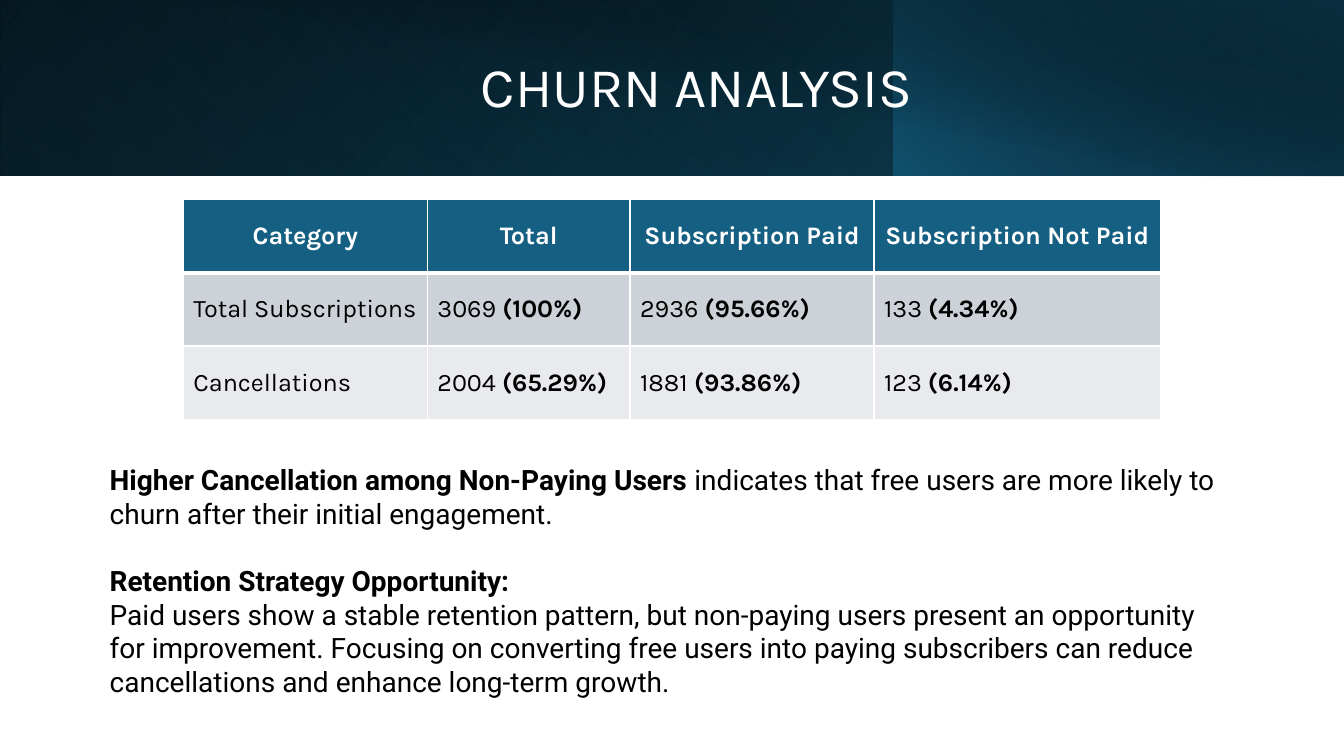
"""Build the churn analysis slide: gradient header, table and findings."""
from lxml.etree import SubElement
from pptx import Presentation
from pptx.dml.color import RGBColor
from pptx.enum.shapes import MSO_SHAPE
from pptx.enum.text import MSO_ANCHOR, MSO_AUTO_SIZE, PP_ALIGN
from pptx.oxml import parse_xml
from pptx.oxml.ns import nsdecls, qn
from pptx.util import Pt

TITLE = "CHURN ANALYSIS"
ROWS = [
    [("Category", ""), ("Total", ""), ("Subscription Paid", ""), ("Subscription Not Paid", "")],
    [("Total Subscriptions", ""), ("3069 ", "(100%)"), ("2936 ", "(95.66%)"), ("133 ", "(4.34%)")],
    [("Cancellations", ""), ("2004 ", "(65.29%)"), ("1881", " (93.86%)"), ("123 ", "(6.14%)")],
]
ROW_FILLS = ["156082", "CCD2D8", "E8EAED"]
COLUMN_WIDTHS = [174.3, 144.8, 174.3, 204.6]
ROW_HEIGHT = 52.3
FINDINGS = [
    ("Higher Cancellation among Non-Paying Users ",
     "indicates that free users are more likely to churn after their initial engagement.", 0),
    ("Retention Strategy Opportunity:", "", 24),
    ("", "Paid users show a stable retention pattern, but non-paying users present an "
     "opportunity for improvement. Focusing on converting free users into paying subscribers "
     "can reduce cancellations and enhance long-term growth.", 0),
]
# left, width, height, rotation, flipped, clockwise angle, (position, color, opacity) stops
HEADER_BANDS = [
    (0, 960, 125.3, 0, True, 140, [(0, "000000", 100), (100, "104862", 100)]),
    (0, 639.4, 125.3, 180, True, 230, [(20, "156082", 0), (100, "0B3041", 55)]),
    (638.6, 321.4, 125.3, 0, True, 220, [(0, "156082", 66), (100, "000000", 30)]),
    (36, 924, 126, 0, False, 280, [(50, "000000", 0), (99, "0B3041", 52)]),
]


def color(value):
    return RGBColor.from_string(value)


def style(font, name, size, value):
    font.name, font.size = name, Pt(size)
    font.color.rgb = color(value)


def add_spans(para, parts):
    for text, bold in parts:
        if text:
            span = para.add_run()
            span.text, span.font.bold = text, bold


def add_band(page, left, width, height, rotation, flipped, angle, stops):
    band = page.shapes.add_shape(MSO_SHAPE.RECTANGLE, Pt(left), 0, Pt(width), Pt(height))
    band.shadow.inherit = False
    band.line.fill.background()
    band.rotation = rotation
    if flipped:
        band.element.spPr.find(qn("a:xfrm")).set("flipH", "1")
    band.fill.gradient()
    band.fill.gradient_angle = 360 - angle
    for stop, (position, value, opacity) in zip(band.fill.gradient_stops, stops):
        stop.position = position / 100
        stop.color.rgb = color(value)
    for node, (_, _, opacity) in zip(band.element.spPr.iter(qn("a:srgbClr")), stops):
        if opacity < 100:
            SubElement(node, qn("a:alpha")).set("val", str(opacity * 1000))
    page.shapes.title.element.addprevious(band.element)


def add_borders(cell, top, bottom):
    properties = cell._tc.get_or_add_tcPr()
    for index, (side, width) in enumerate([("L", 1), ("R", 1), ("T", top), ("B", bottom)]):
        properties.insert(index, parse_xml(
            f'<a:ln{side} {nsdecls("a")} w="{Pt(width)}"><a:solidFill>'
            f'<a:srgbClr val="FFFFFF"/></a:solidFill></a:ln{side}>'))


def add_title(page):
    title = page.shapes.title
    title.left, title.top, title.width, title.height = Pt(108), Pt(23), Pt(779), Pt(81.4)
    frame = title.text_frame
    frame.text = TITLE
    frame.auto_size = MSO_AUTO_SIZE.NONE
    frame.vertical_anchor = MSO_ANCHOR.MIDDLE
    para = frame.paragraphs[0]
    para.alignment = PP_ALIGN.CENTER
    para.line_spacing, para.space_after = 0.9, Pt(6)
    style(para.font, "Karla", 40, "FFFFFF")


def add_churn_table(page):
    table = page.shapes.add_table(
        len(ROWS), len(COLUMN_WIDTHS), Pt(131), Pt(142.6),
        Pt(sum(COLUMN_WIDTHS)), Pt(ROW_HEIGHT * len(ROWS))).table
    for column, width in zip(table.columns, COLUMN_WIDTHS):
        column.width = Pt(width)
    for row_index, (entries, fill) in enumerate(zip(ROWS, ROW_FILLS)):
        table.rows[row_index].height = Pt(ROW_HEIGHT)
        header = row_index == 0
        for column_index, (label, share) in enumerate(entries):
            cell = table.cell(row_index, column_index)
            cell.fill.solid()
            cell.fill.fore_color.rgb = color(fill)
            cell.vertical_anchor = MSO_ANCHOR.MIDDLE
            add_borders(cell, 3 if row_index == 1 else 1, 3 if header else 1)
            para = cell.text_frame.paragraphs[0]
            para.alignment = PP_ALIGN.CENTER if header else PP_ALIGN.LEFT
            style(para.font, "Karla", 18, "FFFFFF" if header else "000000")
            add_spans(para, [(label, header), (share, True)])


def add_findings(page):
    box = page.shapes.add_textbox(Pt(71.3), Pt(326.9), Pt(810.7), Pt(177))
    frame = box.text_frame
    frame.word_wrap = True
    for index, (lead, text, gap) in enumerate(FINDINGS):
        para = frame.add_paragraph() if index else frame.paragraphs[0]
        para.space_before = Pt(gap)
        style(para.font, "Roboto", 20, "000000")
        add_spans(para, [(lead, True), (text, False)])


def main():
    deck = Presentation()
    deck.slide_width, deck.slide_height = Pt(960), Pt(540)
    page = deck.slides.add_slide(deck.slide_layouts[5])
    for band in HEADER_BANDS:
        add_band(page, *band)
    add_title(page)
    add_churn_table(page)
    add_findings(page)
    deck.save("out.pptx")


if __name__ == "__main__":
    main()
